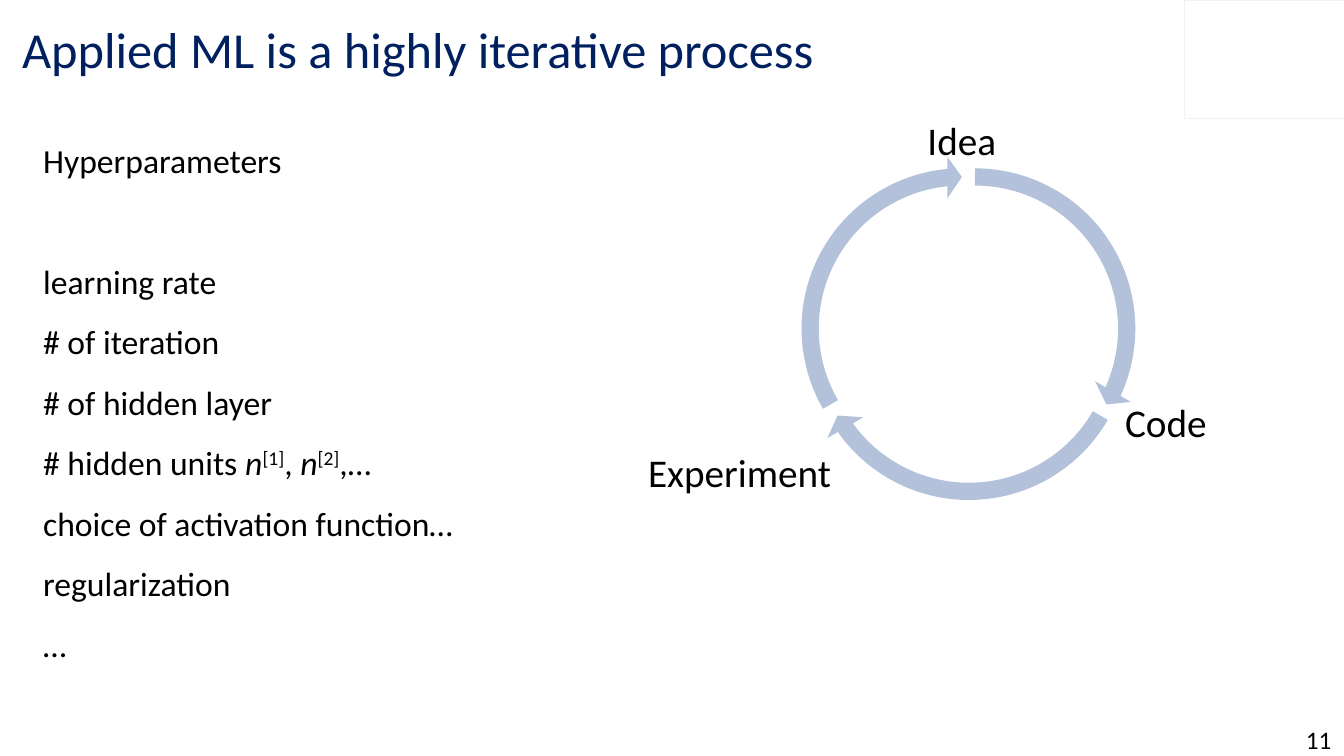
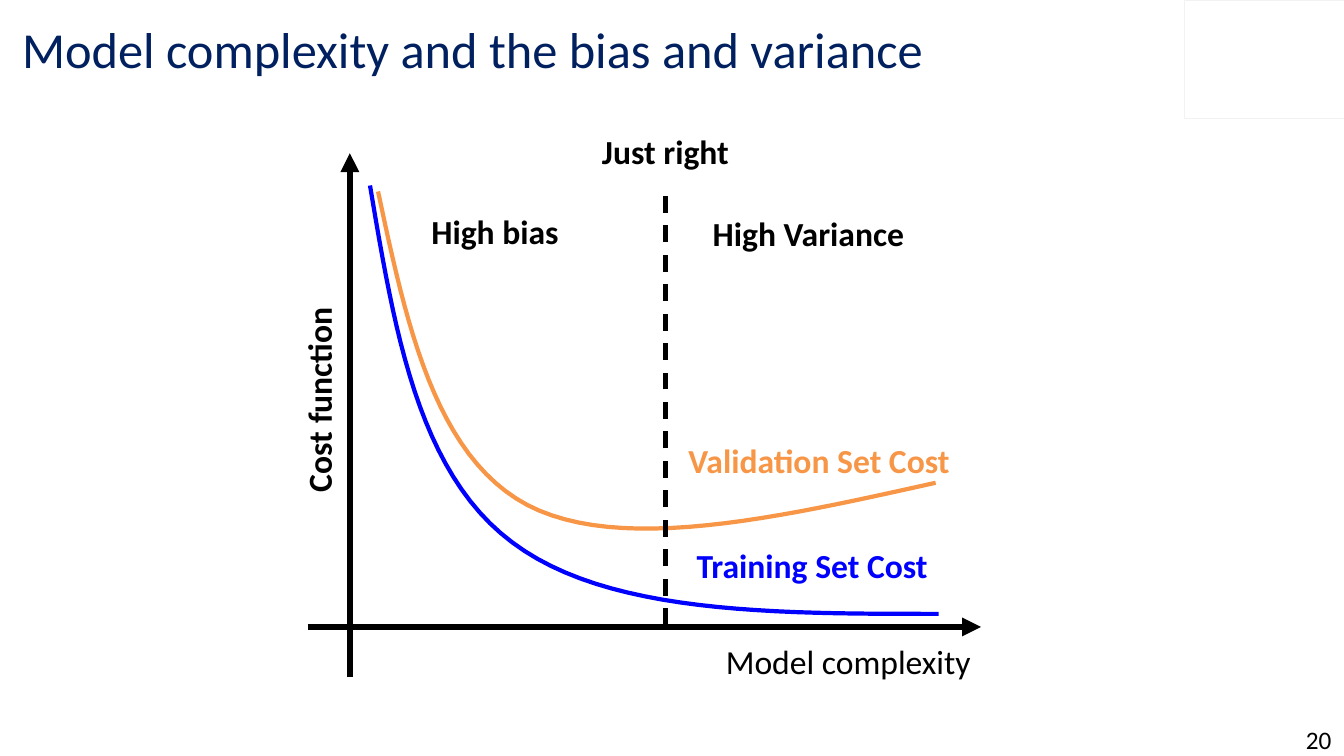
"""Build two machine learning slides: the iterative process and bias versus variance."""
from lxml.etree import SubElement
from pptx import Presentation
from pptx.dml.color import RGBColor
from pptx.enum.dml import MSO_LINE
from pptx.enum.shapes import MSO_CONNECTOR, MSO_SHAPE
from pptx.enum.text import MSO_ANCHOR, MSO_AUTO_SIZE, PP_ALIGN
from pptx.oxml.ns import qn
from pptx.util import Pt

PX = 9144
FONT = "Calibri"
COLORS = {
    "title": "002060",
    "text": "000000",
    "corner": "F2F2F2",
    "cycle": "B3C1DB",
    "training": "0000FF",
    "validation": "F79646",
}
CURVE_STEPS = 24


def add_text(page, text, left, top, width, height, size=24, color="text", bold=False,
             align=PP_ALIGN.LEFT, anchor=MSO_ANCHOR.TOP, fit=True, spacing=None, rotation=0):
    """Add a text box; text is a string or a list of paragraphs, each a string or styled spans."""
    box = page.shapes.add_textbox(left * PX, top * PX, width * PX, height * PX)
    box.rotation = rotation
    frame = box.text_frame
    frame.word_wrap = not fit
    frame.auto_size = MSO_AUTO_SIZE.SHAPE_TO_FIT_TEXT if fit else MSO_AUTO_SIZE.NONE
    frame.vertical_anchor = anchor
    for index, line in enumerate([text] if isinstance(text, str) else text):
        para = frame.add_paragraph() if index else frame.paragraphs[0]
        para.alignment = align
        para.line_spacing = spacing
        for words, style in [(line, "plain")] if isinstance(line, str) else line:
            span = para.add_run()
            span.text = words
            span.font.name = FONT
            span.font.size = Pt(size)
            span.font.bold = bold
            span.font.italic = style == "italic"
            span.font.color.rgb = RGBColor.from_string(COLORS[color])
            if style == "super":
                span._r.get_or_add_rPr().set("baseline", "30000")
    return box


def add_line(page, start, end, width, arrow=False, dash=None):
    """Add a straight black line, with an optional arrowhead at its end."""
    line = page.shapes.add_connector(
        MSO_CONNECTOR.STRAIGHT, *(value * PX for value in (*start, *end)))
    line.line.color.rgb = RGBColor.from_string(COLORS["text"])
    line.line.width = Pt(width)
    line.line.dash_style = dash
    if arrow:
        SubElement(line.line._get_or_add_ln(), qn("a:tailEnd"), type="triangle")
    SubElement(line._element.spPr, qn("a:effectLst"))


deck = Presentation()
deck.slide_width = 1333 * PX
deck.slide_height = 750 * PX

pages = []
for title, number in (
    ("Applied ML is a highly iterative process", "11"),
    ("Model complexity and the bias and variance", "20"),
):
    page = deck.slides.add_slide(deck.slide_layouts[6])
    corner = page.shapes.add_shape(MSO_SHAPE.RECTANGLE, 1174 * PX, 0, 159 * PX, 117 * PX)
    corner.shadow.inherit = False
    corner.fill.background()
    corner.line.color.rgb = RGBColor.from_string(COLORS["corner"])
    corner.line.width = Pt(0.25)
    add_text(page, title, 12, 10, 1029, 75, size=36, color="title",
             anchor=MSO_ANCHOR.MIDDLE, fit=False)
    add_text(page, number, 1283, 717, 50, 33, size=18, align=PP_ALIGN.CENTER,
             anchor=MSO_ANCHOR.MIDDLE, fit=False)
    pages.append(page)
process_page, variance_page = pages

for left, top, end_angle, start_angle in (
    (796, 155, 14.72, 161.99),
    (790, 166, 86.72, 18),
    (783, 155, 158.73, 90),
):
    arrow = process_page.shapes.add_shape(
        MSO_SHAPE.CIRCULAR_ARROW, left * PX, top * PX, 342 * PX, 342 * PX)
    arrow.shadow.inherit = False
    arrow.fill.solid()
    arrow.fill.fore_color.rgb = RGBColor.from_string(COLORS["cycle"])
    arrow.line.fill.background()
    for index, value in enumerate((0.05, 3.28, end_angle, start_angle, 0.06)):
        arrow.adjustments[index] = value

for label, left, top, width in (
    ("Idea", 910, 110, 89),
    ("Code", 1106, 390, 102),
    ("Experiment", 633, 440, 203),
):
    add_text(process_page, label, left, top, width, 57, size=28)

hyperparameters = add_text(process_page, [
    "Hyperparameters",
    "learning rate",
    "# of iteration",
    "# of hidden layer",
    [("# hidden units ", "plain"), ("n", "italic"), ("[1]", "super"), (", ", "plain"),
     ("n", "italic"), ("[2]", "super"), (",…", "plain")],
    "choice of activation function…",
    "regularization",
    "…",
], 33, 114, 431, 549, spacing=1.5)
hyperparameters.text_frame.paragraphs[0].space_after = Pt(43)

add_line(variance_page, (347, 672), (347, 152), 4.5, arrow=True)
add_line(variance_page, (305, 622), (973, 622), 4.5, arrow=True)

for color, start, *segments in (
    ("training", (367, 184),
     ((391, 326), (414, 468), (508, 538)), ((602, 609), (767, 609), (931, 609))),
    ("validation", (375, 190),
     ((403, 321), (431, 452), (523, 501)), ((615, 549), (771, 514), (928, 479))),
):
    points = [start]
    for control_a, control_b, end in segments:
        origin = points[-1]
        for step in range(1, CURVE_STEPS + 1):
            t = step / CURVE_STEPS
            weights = ((1 - t) ** 3, 3 * t * (1 - t) ** 2, 3 * t ** 2 * (1 - t), t ** 3)
            points.append(tuple(
                sum(weight * value for weight, value in zip(weights, axis))
                for axis in zip(origin, control_a, control_b, end)))
    outline = [(x * PX, y * PX) for x, y in points]
    builder = variance_page.shapes.build_freeform(*outline[0])
    builder.add_line_segments(outline[1:], close=False)
    curve = builder.convert_to_shape()
    curve.shadow.inherit = False
    curve.fill.background()
    curve.line.color.rgb = RGBColor.from_string(COLORS[color])
    curve.line.width = Pt(3)

add_line(variance_page, (660, 620), (660, 182), 3, dash=MSO_LINE.DASH)

for label, left, top, width, height, style in (
    ("Cost function", 207, 359, 223, 55, {"bold": True, "rotation": 270}),
    ("Training Set Cost", 681, 536, 282, 55, {"bold": True, "color": "training"}),
    ("Validation Set Cost", 673, 431, 345, 62, {"bold": True, "color": "validation"}),
    ("Model complexity", 710, 631, 265, 50, {}),
    ("High bias", 418, 204, 242, 50, {"bold": True}),
    ("High Variance", 697, 206, 212, 50, {"bold": True}),
    ("Just right", 580, 125, 160, 55, {"bold": True, "align": PP_ALIGN.CENTER}),
):
    add_text(variance_page, label, left, top, width, height, **style)

deck.save("out.pptx")
